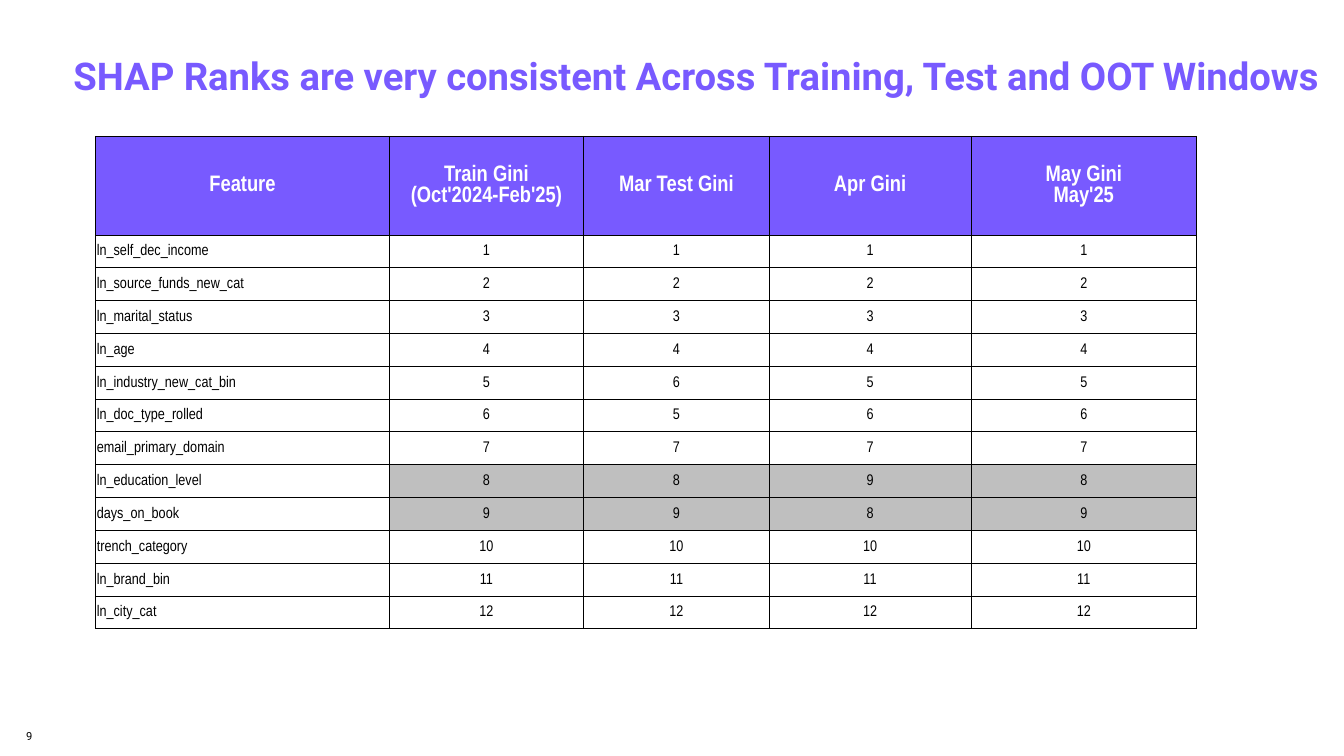
from lxml.etree import SubElement
from pptx import Presentation
from pptx.dml.color import RGBColor
from pptx.enum.text import MSO_ANCHOR as Anchor, PP_ALIGN as Align
from pptx.oxml.ns import qn
from pptx.util import Inches, Pt

PURPLE = RGBColor(0x78, 0x5A, 0xFF)
GRAY = RGBColor(0xBF, 0xBF, 0xBF)
WHITE = RGBColor(0xFF, 0xFF, 0xFF)
BLACK = RGBColor(0, 0, 0)

HEADINGS = ["Feature", "Train Gini\n(Oct'2024-Feb'25)", "Mar Test Gini", "Apr Gini", "May Gini\nMay'25"]
FEATURE_RANKS = [
    ("ln_self_dec_income", 1, 1, 1, 1),
    ("ln_source_funds_new_cat", 2, 2, 2, 2),
    ("ln_marital_status", 3, 3, 3, 3),
    ("ln_age", 4, 4, 4, 4),
    ("ln_industry_new_cat_bin", 5, 6, 5, 5),
    ("ln_doc_type_rolled", 6, 5, 6, 6),
    ("email_primary_domain", 7, 7, 7, 7),
    ("ln_education_level", 8, 8, 9, 8),
    ("days_on_book", 9, 9, 8, 9),
    ("trench_category", 10, 10, 10, 10),
    ("ln_brand_bin", 11, 11, 11, 11),
    ("ln_city_cat", 12, 12, 12, 12),
]
HIGHLIGHTED = {"ln_education_level", "days_on_book"}
COLUMN_WIDTHS = [2.91, 1.93, 1.84, 2, 2.24]
TABLE_HEIGHT = 4.89
HEADER_HEIGHT = 0.98


class RankSlide:
    text_font = "Roboto"
    table_font = "Arial Narrow"

    def __init__(self, deck):
        self.slide = deck.slides.add_slide(deck.slide_layouts[6])

    def fill_paragraph(self, paragraph, text, font, size, color, bold=False):
        paragraph.text = text
        for run in paragraph.runs:
            run.font.name = font
            run.font.size = Pt(size)
            run.font.bold = bold
            run.font.color.rgb = color

    def text(self, left, top, width, height, words, size, color, bold=False, anchor=Anchor.TOP, spacing=None):
        frame = self.slide.shapes.add_textbox(*map(Inches, (left, top, width, height))).text_frame
        frame.word_wrap = True
        frame.margin_right = 0
        frame.vertical_anchor = anchor
        frame.paragraphs[0].line_spacing = spacing
        self.fill_paragraph(frame.paragraphs[0], words, self.text_font, size, color, bold)

    def border(self, cell):
        properties = cell._tc.get_or_add_tcPr()
        for position, side in enumerate(("lnL", "lnR", "lnT", "lnB")):
            line = SubElement(properties, qn(f"a:{side}"), w=str(Pt(0.5)))
            fill = SubElement(line, qn("a:solidFill"))
            SubElement(fill, qn("a:srgbClr"), val=str(BLACK))
            properties.insert(position, line)

    def cell(self, cell, text, size, color, fill, bold=False, align=Align.CENTER):
        cell.margin_left = cell.margin_right = cell.margin_top = Inches(0.01)
        cell.margin_bottom = 0
        cell.vertical_anchor = Anchor.MIDDLE
        paragraph = cell.text_frame.paragraphs[0]
        paragraph.alignment = align
        self.fill_paragraph(paragraph, text, self.table_font, size, color, bold)
        if fill is None:
            cell.fill.background()
        else:
            cell.fill.solid()
            cell.fill.fore_color.rgb = fill
        self.border(cell)

    def rank_table(self, left, top):
        ranks = self.slide.shapes.add_table(
            len(FEATURE_RANKS) + 1, len(HEADINGS), Inches(left), Inches(top),
            Inches(sum(COLUMN_WIDTHS)), Inches(TABLE_HEIGHT)).table
        for column, width in zip(ranks.columns, COLUMN_WIDTHS):
            column.width = Inches(width)
        for row in ranks.rows:
            row.height = Inches((TABLE_HEIGHT - HEADER_HEIGHT) / len(FEATURE_RANKS))
        ranks.rows[0].height = Inches(HEADER_HEIGHT)
        for column, heading in enumerate(HEADINGS):
            self.cell(ranks.cell(0, column), heading, 16, WHITE, PURPLE, bold=True)
        for row, (feature, *values) in enumerate(FEATURE_RANKS, 1):
            self.cell(ranks.cell(row, 0), feature, 11, BLACK, None, align=Align.LEFT)
            fill = GRAY if feature in HIGHLIGHTED else None
            for column, value in enumerate(values, 1):
                self.cell(ranks.cell(row, column), str(value), 11, BLACK, fill)


def main():
    deck = Presentation()
    deck.slide_width = Inches(13.33)
    deck.slide_height = Inches(7.5)
    page = RankSlide(deck)
    page.text(0.63, 0.31, 12.57, 0.71,
              "SHAP Ranks are very consistent Across Training, Test and OOT Windows",
              27.3, PURPLE, bold=True, anchor=Anchor.BOTTOM, spacing=1.5)
    page.text(0.16, 7.19, 2.92, 0.25, "9", 8, BLACK)
    page.rank_table(0.95, 1.35)
    deck.save("out.pptx")


if __name__ == "__main__":
    main()
